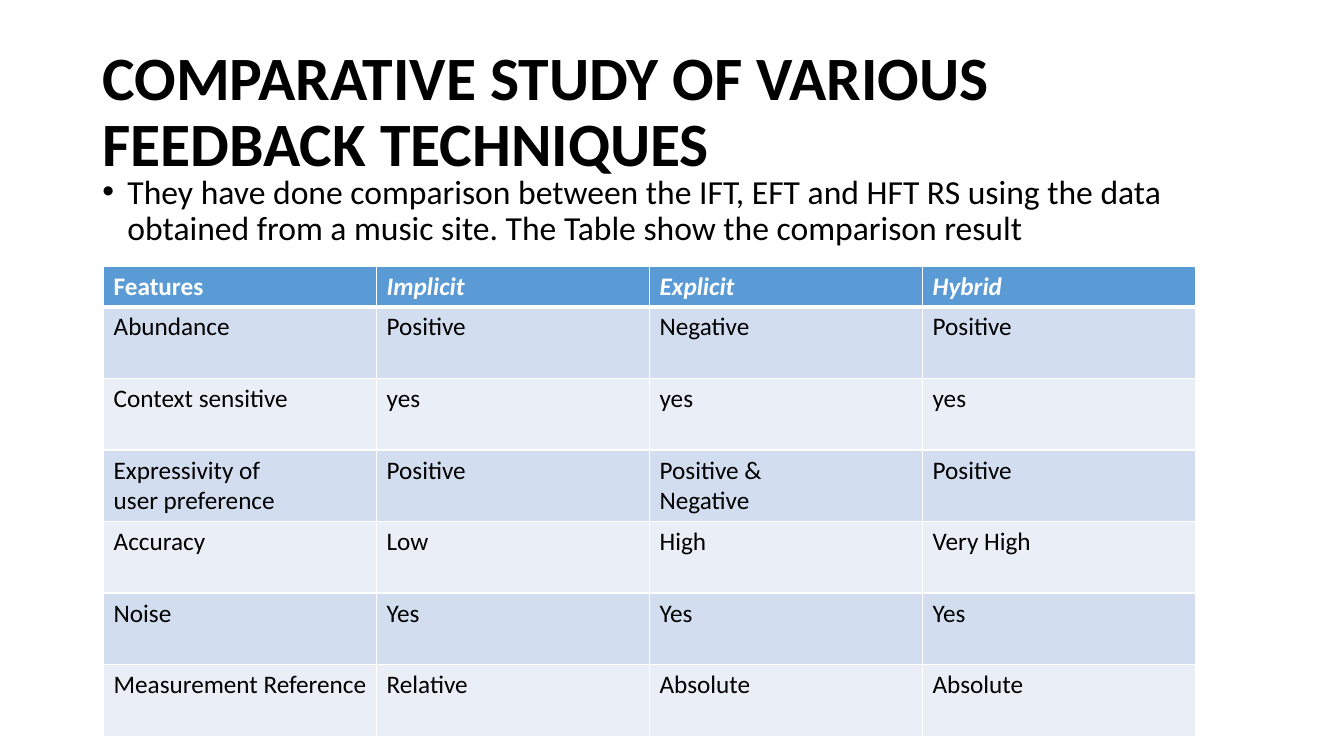
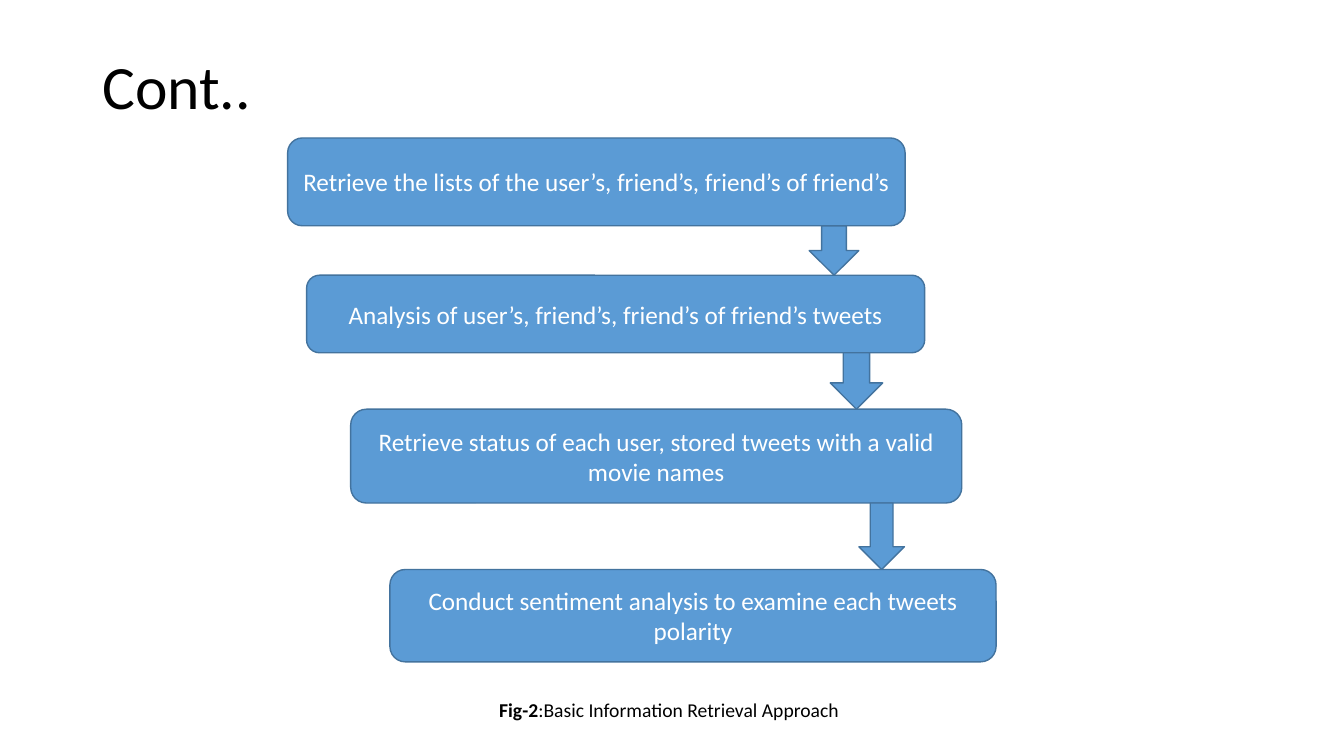
from lxml import etree
from pptx import Presentation
from pptx import util as u
from pptx.dml.color import RGBColor
from pptx.enum import shapes, text
from pptx.oxml.ns import qn

Pt = u.Pt
BLUE, EDGE, WHITE, BLACK = "5B9BD5", "43739E", "FFFFFF", "000000"
BANDS = "D2DEEF", "EAEFF7"
LEFT, TOP, WIDE = 66, 29, 828
MID = text.MSO_ANCHOR.MIDDLE
CENTER = text.PP_ALIGN.CENTER
KIND = shapes.MSO_SHAPE

ROWS = [
    ["Features", "Implicit", "Explicit", "Hybrid"],
    ["Abundance", "Positive", "Negative", "Positive"],
    ["Context sensitive", "yes", "yes", "yes"],
    ["Expressivity of\nuser preference", "Positive", "Positive &\nNegative", "Positive"],
    ["Accuracy", "Low", "High", "Very High"],
    ["Noise", "Yes", "Yes", "Yes"],
    ["Measurement Reference", "Relative", "Absolute", "Absolute"],
]
STEPS = [
    ("Retrieve the lists of the user’s, friend’s, friend’s of friend’s", (205.5, 98.6, 441, 62.7)),
    ("Analysis of user’s, friend’s, friend’s of friend’s tweets", (219, 196.6, 441.5, 55.4)),
    ("Retrieve status of each user, stored tweets with a valid movie names", (250.5, 292.3, 436.5, 67)),
    ("Conduct sentiment analysis to examine each tweets polarity", (278.5, 406.8, 433, 66)),
]
ARROWS = [(578, 35.5), (593, 37.5), (613.5, 32.5)]


def color(value):
    return RGBColor.from_string(value)


def style(item, **values):
    for name, value in values.items():
        setattr(item, name, value)


def write(para, words, size, hue=BLACK, **look):
    run = para.add_run()
    run.text = words
    style(run.font, name="Calibri", size=Pt(size), **look)
    run.font.color.rgb = color(hue)


def label(slide, box, anchor=MID):
    frame = slide.shapes.add_textbox(*map(Pt, box)).text_frame
    style(frame, word_wrap=True, vertical_anchor=anchor)
    para = frame.paragraphs[0]
    para.line_spacing = 0.9
    return para


def title(slide, words, high, bold=False):
    write(label(slide, (LEFT, TOP, WIDE, high)), words, 44, bold=bold)


def bullet(slide, box, words):
    para = label(slide, box, text.MSO_ANCHOR.TOP)
    props = para._p.get_or_add_pPr()
    style_map = {"marL": Pt(18), "indent": Pt(-18)}
    for name, value in style_map.items():
        props.set(name, str(value))
    etree.SubElement(props, qn("a:buFont")).set("typeface", "Arial")
    etree.SubElement(props, qn("a:buChar")).set("char", "•")
    write(para, words, 24)


def border(cell, widths):
    props = cell._tc.get_or_add_tcPr()
    for spot, (side, width) in enumerate(widths.items()):
        line = etree.Element(qn("a:ln" + side), w=str(Pt(width)))
        fill = etree.SubElement(line, qn("a:solidFill"))
        etree.SubElement(fill, qn("a:srgbClr")).set("val", WHITE)
        props.insert(spot, line)


def grid(slide, box, head, rows):
    high = (box[3] - head) / (len(rows) - 1)
    table = slide.shapes.add_table(len(rows), len(rows[0]), *map(Pt, box)).table
    for col in table.columns:
        col.width = Pt(box[2] / len(rows[0]))
    for r, row in enumerate(rows):
        table.rows[r].height = Pt(high if r else head)
        for c, words in enumerate(row):
            cell = table.cell(r, c)
            cell.fill.solid()
            cell.fill.fore_color.rgb = color(BANDS[(r - 1) % 2] if r else BLUE)
            frame = cell.text_frame
            for n, line in enumerate(words.split("\n")):
                para = frame.add_paragraph() if n else frame.paragraphs[0]
                write(para, line, 18, BLACK if r else WHITE,
                      bold=r == 0, italic=r == 0 and c > 0)
            border(cell, {"L": 1, "R": 1, "T": 3 if r == 1 else 1, "B": 1 if r else 3})


def block(slide, kind, box):
    shape = slide.shapes.add_shape(kind, *map(Pt, box))
    shape.shadow.inherit = False
    shape.fill.solid()
    shape.fill.fore_color.rgb = color(BLUE)
    shape.line.color.rgb = color(EDGE)
    shape.line.width = Pt(1)
    return shape


def flow(slide, steps, arrows):
    for words, box in steps:
        frame = block(slide, KIND.ROUNDED_RECTANGLE, box).text_frame
        style(frame, word_wrap=True, vertical_anchor=MID)
        para = frame.paragraphs[0]
        para.alignment = CENTER
        write(para, words, 18, WHITE)
    for (x, wide), (_, top), (_, low) in zip(arrows, steps, steps[1:]):
        y = top[1] + top[3]
        block(slide, KIND.DOWN_ARROW, (x, y, wide, low[1] - y))


def caption(slide, box, mark, words):
    para = label(slide, box)
    para.alignment = CENTER
    write(para, mark, 14, bold=True)
    write(para, words, 14)


def study(slide):
    title(slide, "COMPARATIVE STUDY OF VARIOUS FEEDBACK TECHNIQUES", 104, True)
    bullet(slide, (LEFT, 121.7, WIDE, 64),
           "They have done comparison between the IFT, EFT and HFT RS using the data "
           "obtained from a music site. The Table show the comparison result")
    grid(slide, (74, 190, 780, 336), 29.2, ROWS)


def method(slide):
    title(slide, "Cont..", 70)
    flow(slide, STEPS, ARROWS)
    caption(slide, (LEFT - 2, 496, WIDE, 24), "Fig-2", ":Basic Information Retrieval Approach")


def main():
    deck = Presentation()
    style(deck, slide_width=Pt(960), slide_height=Pt(540))
    for build in (study, method):
        build(deck.slides.add_slide(deck.slide_layouts[6]))
    deck.save("out.pptx")


if __name__ == "__main__":
    main()
